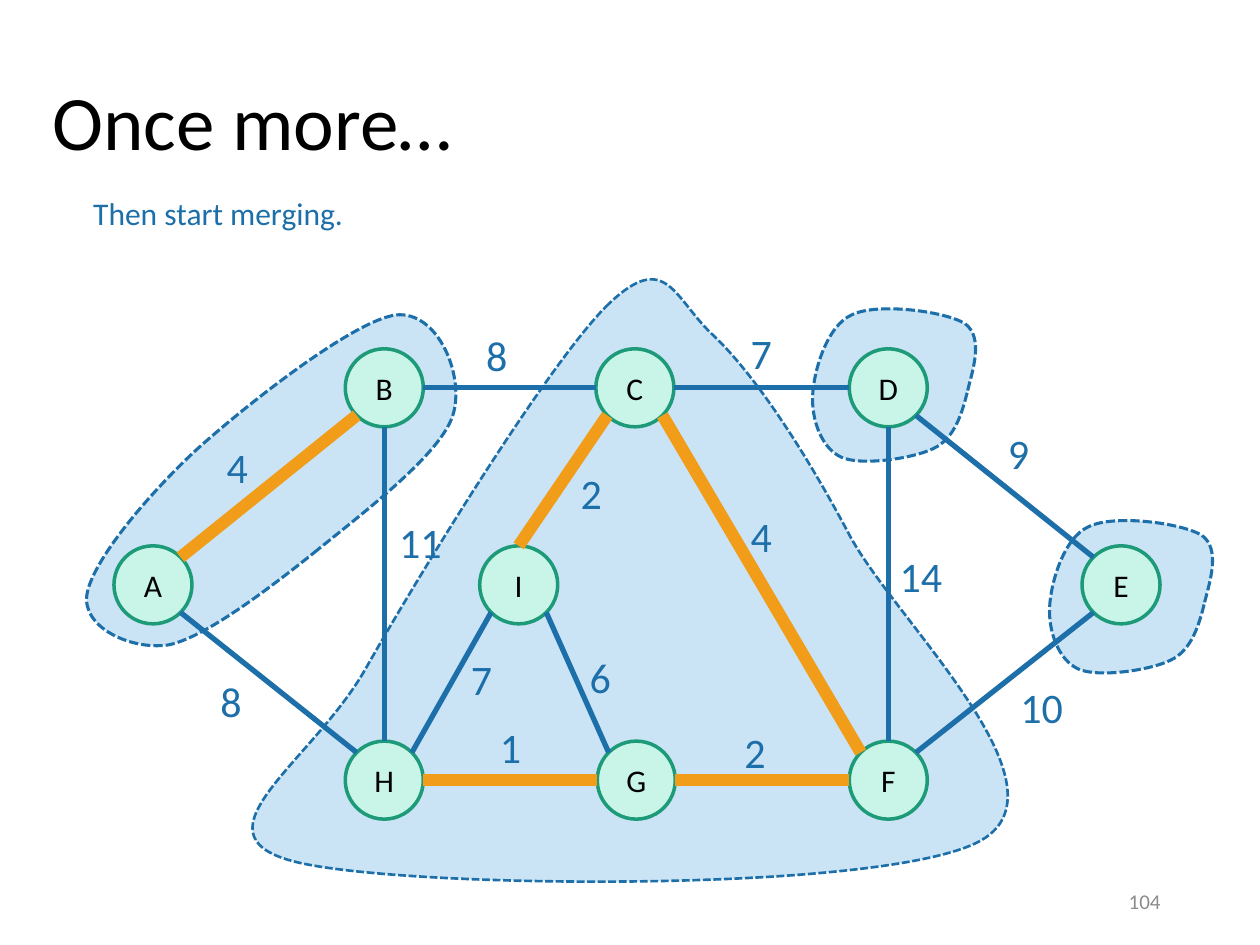
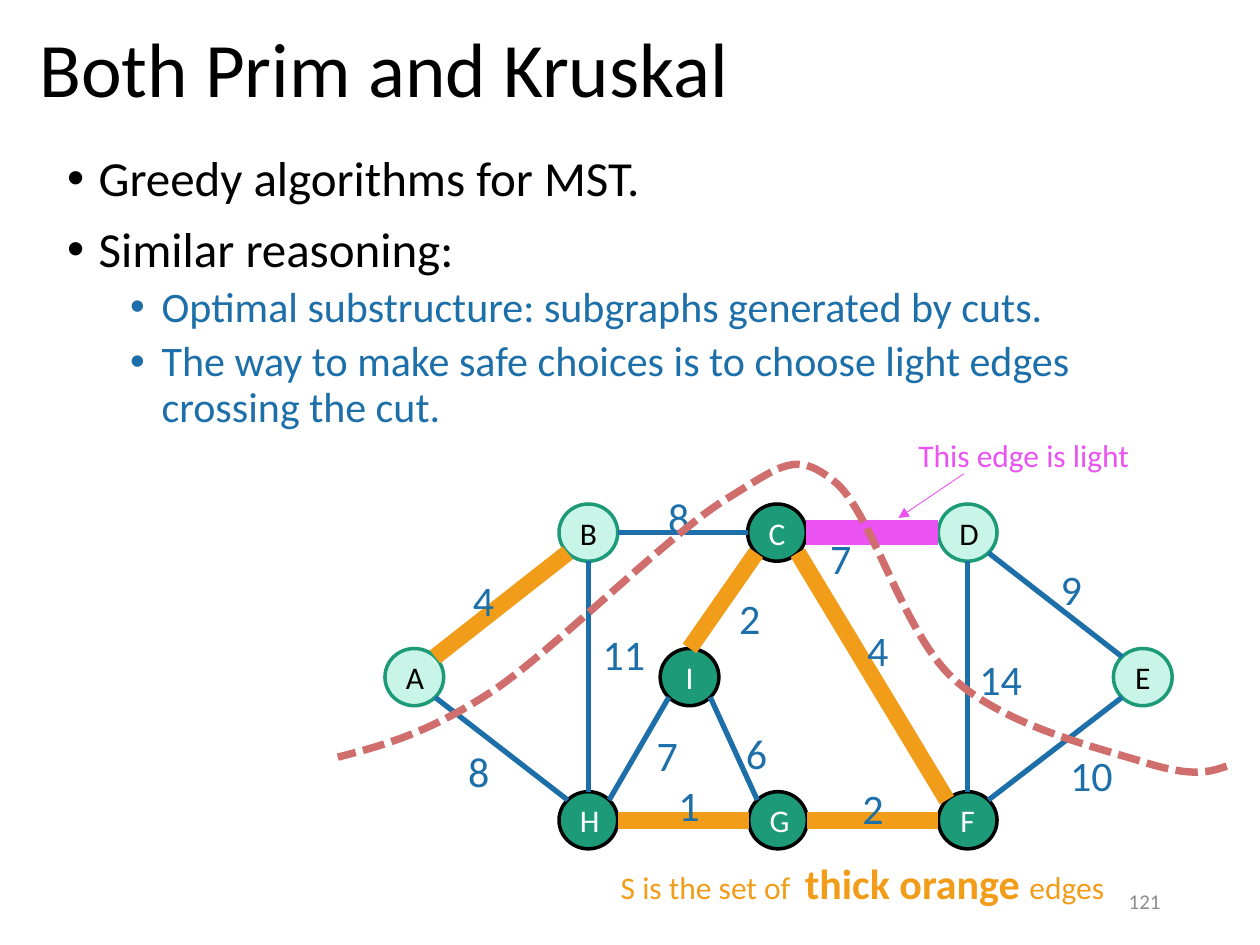
from dataclasses import dataclass, field
from math import sqrt
from typing import Any, NamedTuple

from lxml.etree import SubElement
from pptx import Presentation
from pptx.dml.color import RGBColor as Rgb
from pptx.enum.dml import MSO_LINE_DASH_STYLE as Dash
from pptx.enum.shapes import MSO_CONNECTOR as Link, MSO_SHAPE as Shape
from pptx.enum.text import MSO_ANCHOR as Anchor, PP_ALIGN as Align
from pptx.oxml.ns import qn
from pptx.util import Pt


# Theme: colours, type sizes and line widths
@dataclass(frozen=True)
class Theme:
    font: str = "Calibri"
    black: str = "000000"
    white: str = "FFFFFF"
    blue: str = "1D6FA9"
    sky: str = "CAE4F6"
    mint: str = "C8F5E8"
    green: str = "1D9A78"
    orange: str = "F19D19"
    pink: str = "EA53F1"
    red: str = "CF6E6C"
    grey: str = "8C8C8C"
    title: float = 44
    body: float = 28
    label: float = 24
    note: float = 18
    foot: float = 12
    ring: float = 2
    edge: float = 3


T = Theme()
Point = tuple[float, float]


class Box(NamedTuple):
    left: float
    top: float
    width: float
    height: float


class Run(NamedTuple):
    text: str
    size: float
    color: str
    bold: bool = False


class Para(NamedTuple):
    runs: list[Run]
    before: float = 0
    indent: float = 0
    lines: float = 1.0
    align: Any = Align.LEFT


class Edge(NamedTuple):
    ends: str
    start: str
    stop: str
    weight: int
    spot: Point
    thick: bool = False


class Blob(NamedTuple):
    points: list[Point]
    shift: Point = (0, 0)
    width: float = 1.75


@dataclass(frozen=True)
class View:
    """How the shared graph is scaled, moved and marked on one slide."""
    thick: float
    scale: Point = (1, 1)
    shift: Point = (0, 0)
    dark: str = ""
    light: str = ""
    spots: dict[str, Point] = field(default_factory=dict)

    def place(self, x: float, y: float) -> Point:
        return (x * self.scale[0] + self.shift[0],
                y * self.scale[1] + self.shift[1])


# The graph, in points
LEFT, RIGHT, HIGH, MID, LOW, RADIUS = 219.6, 507.6, 221.6, 334.2, 445.8, 22.3
NODES: dict[str, Point] = {
    "D": (RIGHT, HIGH), "C": (362.8, HIGH), "B": (LEFT, HIGH),
    "A": (87.4, MID), "H": (LEFT, LOW), "G": (363.6, LOW),
    "F": (RIGHT, LOW), "I": (296.4, MID), "E": (640.6, MID),
}
DIAG = 1 / sqrt(2)
SITES: dict[str, Point] = {
    "n": (0, -1), "e": (1, 0), "s": (0, 1), "w": (-1, 0),
    "ne": (DIAG, -DIAG), "se": (DIAG, DIAG),
    "sw": (-DIAG, DIAG), "nw": (-DIAG, -DIAG),
}
EDGES = [
    Edge("CF", "se", "nw", 4, (421.9, 288), True),
    Edge("CD", "e", "w", 7, (421.9, 183.6)),
    Edge("ED", "nw", "se", 9, (568.8, 240.5)),
    Edge("EF", "sw", "ne", 10, (576, 386)),
    Edge("DF", "s", "n", 14, (507, 311)),
    Edge("IG", "se", "nw", 6, (329.8, 368.6)),
    Edge("GF", "e", "w", 2, (418.3, 411.8), True),
    Edge("IC", "n", "sw", 2, (324.7, 263.5), True),
    Edge("BC", "e", "w", 8, (270.7, 185)),
    Edge("AB", "ne", "sw", 4, (122.4, 249), True),
    Edge("AH", "se", "nw", 8, (118.8, 382.3)),
    Edge("GH", "w", "e", 1, (278.6, 409), True),
    Edge("IH", "sw", "ne", 7, (262, 370)),
    Edge("HB", "n", "s", 11, (221, 291.6)),
]

# Curves: a start point, then two handles and an end for each piece
HILL = [(348, 173.5), (315, 205), (239, 329), (209, 382), (179, 435),
        (108, 476), (167, 492), (226, 508), (508, 511), (561, 480),
        (614, 449), (510, 353), (485, 305), (459, 256), (431, 214),
        (408, 192), (385, 171), (381, 142), (348, 173.5)]
PEBBLE = [(553, 223.2), (555.8, 211.7), (562.3, 193), (551.5, 185),
          (540, 177.8), (501, 172.8), (486.7, 180), (472.3, 186.5),
          (465, 212.4), (464.4, 226), (463.7, 239.8), (469.4, 256.3),
          (481, 261.4), (492.5, 266.4), (522, 262), (533.5, 256.3),
          (545.8, 250.6), (550, 235.4), (553, 223.2)]
BEAN = [(179.3, 316), (206.6, 293.8), (250.6, 260.6), (258.5, 238.3),
        (266.4, 216), (250.6, 177), (226, 180), (201.6, 183.6),
        (141.8, 230.4), (112.3, 257), (83.5, 283.7), (52.6, 321),
        (49.7, 339.8), (46.8, 358.6), (74.9, 371.5), (95.8, 368.6),
        (116, 365), (152, 337.7), (179.3, 316)]
CUT = [(701, 437.8), (691, 441.4), (681, 444), (655, 436), (629, 427.7),
       (575, 415.4), (545, 388), (515.5, 361.4), (498, 291.6), (476.6, 275),
       (455, 257.8), (447.8, 265), (415.4, 285), (383, 304.6), (319, 369.4),
       (282, 394.6), (244.8, 419), (219, 426), (193, 432.7)]
BLOBS = [Blob(HILL, width=1.5), Blob(PEBBLE, (135.4, 121)),
         Blob(PEBBLE), Blob(BEAN)]


# Drawing helpers
def style(item: Any, values: dict[str, Any]) -> None:
    for name, value in values.items():
        setattr(item, name, value)


def paint(item: Any, color: str) -> None:
    item.fill.solid()
    item.fill.fore_color.rgb = Rgb.from_string(color)


def stroke(item: Any, color: str, width: float) -> None:
    item.line.color.rgb = Rgb.from_string(color)
    item.line.width = Pt(width)


def write(frame: Any, paras: list[Para]) -> None:
    for i, para in enumerate(paras):
        p = frame.add_paragraph() if i else frame.paragraphs[0]
        if para.indent:
            props = p._p.get_or_add_pPr()
            props.set("marL", str(Pt(para.indent)))
            props.set("indent", str(Pt(-18)))
            SubElement(props, qn("a:buFont"), typeface="Arial")
            SubElement(props, qn("a:buChar"), char="•")
        style(p, {"alignment": para.align, "line_spacing": para.lines,
                  "space_before": Pt(para.before)})
        for part in para.runs:
            run = p.add_run()
            run.text = part.text
            style(run.font, {"name": T.font, "size": Pt(part.size),
                             "bold": part.bold})
            run.font.color.rgb = Rgb.from_string(part.color)


def text(slide: Any, box: Box, paras: list[Para],
         anchor: Any = Anchor.TOP) -> None:
    frame = slide.shapes.add_textbox(*map(Pt, box)).text_frame
    style(frame, {"word_wrap": True, "vertical_anchor": anchor})
    write(frame, paras)


def line(slide: Any, a: Point, b: Point, color: str, width: float,
         arrow: bool = False) -> None:
    item = slide.shapes.add_connector(Link.STRAIGHT, *map(Pt, a + b))
    stroke(item, color, width)
    props = item.element.spPr
    if arrow:
        SubElement(props.find(qn("a:ln")), qn("a:tailEnd"), type="triangle")
    SubElement(props, qn("a:effectLst"))


def reach(values: list[float], steps: int = 20) -> Point:
    """Least and greatest value along a chain of cubic curves."""
    out = []
    for i in range(0, len(values) - 1, 3):
        a, b, c, d = values[i:i + 4]
        for k in range(steps + 1):
            t = k / steps
            u = 1 - t
            out.append(u**3 * a + 3*u*u*t * b + 3*u*t*t * c + t**3 * d)
    return min(out), max(out)


def curve(slide: Any, blob: Blob, color: str, fill: str = "") -> None:
    points = [(x + blob.shift[0], y + blob.shift[1]) for x, y in blob.points]
    (x0, x1), (y0, y1) = (reach(list(axis)) for axis in zip(*points))
    knots = [(Pt(x), Pt(y)) for x, y in points[::3]]
    pen = slide.shapes.build_freeform(*knots[0])
    pen.add_line_segments(knots[1:], close=bool(fill))
    item = pen.convert_to_shape()
    style(item, {"left": Pt(x0), "top": Pt(y0),
                 "width": Pt(x1 - x0), "height": Pt(y1 - y0)})
    # Turn each straight piece into a cubic one, measured from the box
    local = [{"x": str(Pt(x - x0)), "y": str(Pt(y - y0))} for x, y in points]
    track = next(item.element.iter(qn("a:path")))
    track.set("w", str(item.width))
    track.set("h", str(item.height))
    track.find(qn("a:moveTo"))[0].attrib.update(local[0])
    for i, piece in enumerate(track.findall(qn("a:lnTo"))):
        cubic = SubElement(track, qn("a:cubicBezTo"))
        for spot in local[3 * i + 1:3 * i + 4]:
            SubElement(cubic, qn("a:pt"), spot)
        track.replace(piece, cubic)
    item.shadow.inherit = False
    stroke(item, color, blob.width)
    item.line.dash_style = Dash.SQUARE_DOT
    if fill:
        paint(item, fill)
    else:
        item.fill.background()


def node(slide: Any, view: View, name: str) -> None:
    x, y = view.place(*NODES[name])
    rx, ry = (RADIUS * s for s in view.scale)
    item = slide.shapes.add_shape(
        Shape.OVAL, *map(Pt, (x - rx, y - ry, 2 * rx, 2 * ry)))
    item.shadow.inherit = False
    dark = name in view.dark
    paint(item, T.green if dark else T.mint)
    stroke(item, T.black if dark else T.green, T.ring)
    item.text_frame.vertical_anchor = Anchor.MIDDLE
    ink = T.white if dark else T.black
    write(item.text_frame,
          [Para([Run(name, T.note, ink)], align=Align.CENTER)])


def graph(slide: Any, view: View) -> None:
    for name in NODES:
        node(slide, view, name)
    for edge in EDGES:
        a, b = (view.place(NODES[n][0] + RADIUS * SITES[s][0],
                           NODES[n][1] + RADIUS * SITES[s][1])
                for n, s in zip(edge.ends, (edge.start, edge.stop)))
        color, width = T.blue, T.edge
        if edge.ends == view.light:
            color, width = T.pink, 14
        elif edge.thick:
            color, width = T.orange, view.thick
        line(slide, a, b, color, width)
    for edge in EDGES:
        spot = view.spots.get(edge.ends, view.place(*edge.spot))
        size = (62 * view.scale[0], 36 * view.scale[1])
        text(slide, Box(*spot, *size),
             [Para([Run(str(edge.weight), T.label, T.blue)])])


def frame(slide: Any, title: str, box: Box, number: int) -> None:
    """Title and page number."""
    text(slide, box, [Para([Run(title, T.title, T.black)], lines=0.9)],
         Anchor.MIDDLE)
    text(slide, Box(508.3, 500.4, 162, 28.8),
         [Para([Run(str(number), T.foot, T.grey)], align=Align.RIGHT)],
         Anchor.MIDDLE)


def bullet(words: str, level: int, before: float) -> Para:
    size, color = ((T.body, T.black), (T.label, T.blue))[level]
    return Para([Run(words, size, color)], before, 18 + 36 * level, 0.9)


# Slides
def merging(slide: Any) -> None:
    for blob in BLOBS:
        curve(slide, blob, T.blue, T.sky)
    frame(slide, "Once more…", Box(23, 2.9, 700, 137.5), 104)
    graph(slide, View(thick=7))
    text(slide, Box(46.2, 107.3, 327, 29),
         [Para([Run("Then start merging.", T.note, T.blue)])])


def greedy(slide: Any) -> None:
    frame(slide, "Both Prim and Kruskal", Box(15.4, -10.8, 620.6, 104.4), 121)
    text(slide, Box(31.3, 84.6, 635, 342.7), [
        bullet("Greedy algorithms for MST.", 0, 0),
        bullet("Similar reasoning:", 0, 10),
        bullet("Optimal substructure: subgraphs generated by cuts.", 1, 5),
        bullet("The way to make safe choices is to choose light edges "
               "crossing the cut.", 1, 5)])
    graph(slide, View(9.5, (301 / 400, 228 / 311), (171, 141.9), "CHGFI",
                      "CD", {"CD": (467.3, 301)}))
    curve(slide, Blob(CUT, width=4.25), T.red)
    text(slide, Box(347.6, 486.7, 358, 36), [Para([
        Run("S is the set of  ", T.note, T.orange),
        Run("thick orange ", T.label, T.orange, True),
        Run("edges", T.note, T.orange)])])
    text(slide, Box(517.7, 245.5, 196.6, 29),
         [Para([Run("This edge is light", T.note, T.pink)])])
    line(slide, (550.8, 270.7), (513.4, 296), T.pink, 0.5, arrow=True)


def main() -> None:
    deck = Presentation()
    style(deck, {"slide_width": Pt(720), "slide_height": Pt(540)})
    for draw in (merging, greedy):
        draw(deck.slides.add_slide(deck.slide_layouts[6]))
    deck.save("out.pptx")


if __name__ == "__main__":
    main()
